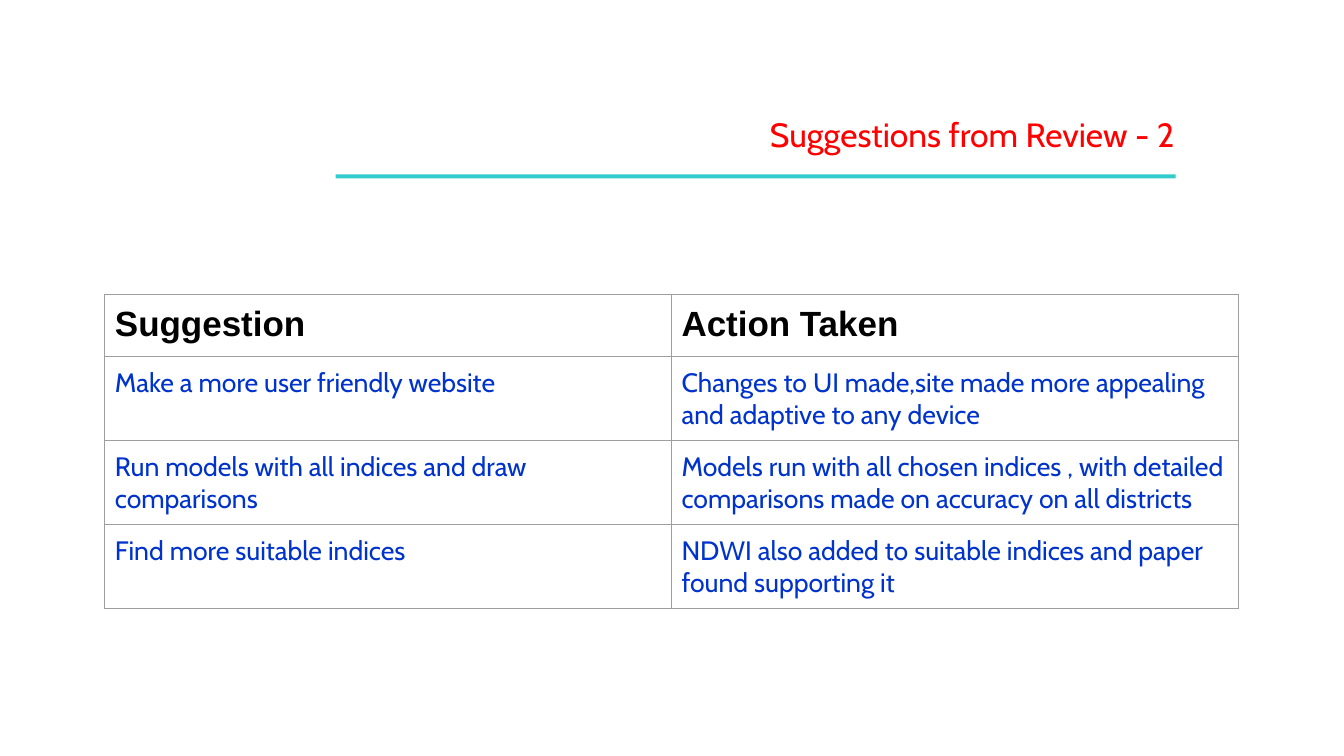
from lxml.etree import SubElement
from pptx import Presentation
from pptx.dml.color import RGBColor
from pptx.enum.shapes import MSO_SHAPE
from pptx.enum.text import MSO_ANCHOR, MSO_AUTO_SIZE, PP_ALIGN
from pptx.oxml.ns import qn
from pptx.util import Inches, Pt

RED = RGBColor(0xFF, 0x00, 0x00)
TEAL = RGBColor(0x33, 0xCC, 0xCC)
BLUE = RGBColor(0x00, 0x33, 0xCC)
BLACK = RGBColor(0x00, 0x00, 0x00)
GREY = RGBColor(0x9E, 0x9E, 0x9E)

ROWS = [
    ("Suggestion", "Action Taken"),
    ("Make a more user friendly website",
     "Changes to UI made,site made more appealing and adaptive to any device"),
    ("Run models with all indices and draw comparisons",
     "Models run with all chosen indices , with detailed comparisons made on accuracy on all districts"),
    ("Find more suitable indices",
     "NDWI also added to suitable indices and paper found supporting it"),
]


def style_font(font, name, size, color, bold=False):
    font.name = name
    font.size = Pt(size)
    font.color.rgb = color
    font.bold = bold


def add_heading(s, text, x, y, w, h):
    title = s.shapes.title
    title.left, title.top, title.width, title.height = map(Inches, (x, y, w, h))
    tf = title.text_frame
    tf.text = text
    tf.word_wrap = True
    tf.auto_size = MSO_AUTO_SIZE.SHAPE_TO_FIT_TEXT
    tf.vertical_anchor = MSO_ANCHOR.TOP
    p = tf.paragraphs[0]
    p.alignment = PP_ALIGN.RIGHT
    style_font(p.runs[0].font, "Cabin", 24, RED)

    rule = s.shapes.add_shape(MSO_SHAPE.RECTANGLE, Inches(x + 0.16), Inches(y + 0.65),
                              Inches(w - 0.25), Inches(0.04))
    rule.shadow.inherit = False
    rule.fill.solid()
    rule.fill.fore_color.rgb = TEAL
    rule.line.fill.background()


def add_borders(cell):
    tcPr = cell._tc.get_or_add_tcPr()
    for i, side in enumerate(("a:lnL", "a:lnR", "a:lnT", "a:lnB")):
        ln = tcPr.makeelement(qn(side), {"w": str(Pt(0.75))})
        tcPr.insert(i, ln)
        fill = SubElement(ln, qn("a:solidFill"))
        SubElement(fill, qn("a:srgbClr"), val=str(GREY))


def add_review_table(s, rows, x, y, w, header_h, row_h):
    h = header_h + row_h * (len(rows) - 1)
    table = s.shapes.add_table(len(rows), len(rows[0]), Inches(x), Inches(y),
                               Inches(w), Inches(h)).table
    table.first_row = False
    table.horz_banding = False
    for i, texts in enumerate(rows):
        table.rows[i].height = Inches(row_h if i else header_h)
        for j, text in enumerate(texts):
            cell = table.cell(i, j)
            cell.fill.background()
            cell.margin_left = cell.margin_right = Inches(0.1)
            cell.margin_top = cell.margin_bottom = Inches(0.1)
            cell.text = text
            font = cell.text_frame.paragraphs[0].runs[0].font
            if i == 0:
                style_font(font, "Arial", 25, BLACK, True)
            else:
                style_font(font, "Cabin", 19, BLUE)
            add_borders(cell)


def main():
    prs = Presentation()
    prs.slide_width = Inches(13.33)
    prs.slide_height = Inches(7.5)
    s = prs.slides.add_slide(prs.slide_layouts[5])
    add_heading(s, "Suggestions from Review - 2", 3.17, 1.08, 8.58, 0.5)
    add_review_table(s, ROWS, 1.04, 2.92, 11.24, 0.61, 0.83)
    prs.save("out.pptx")


if __name__ == "__main__":
    main()
